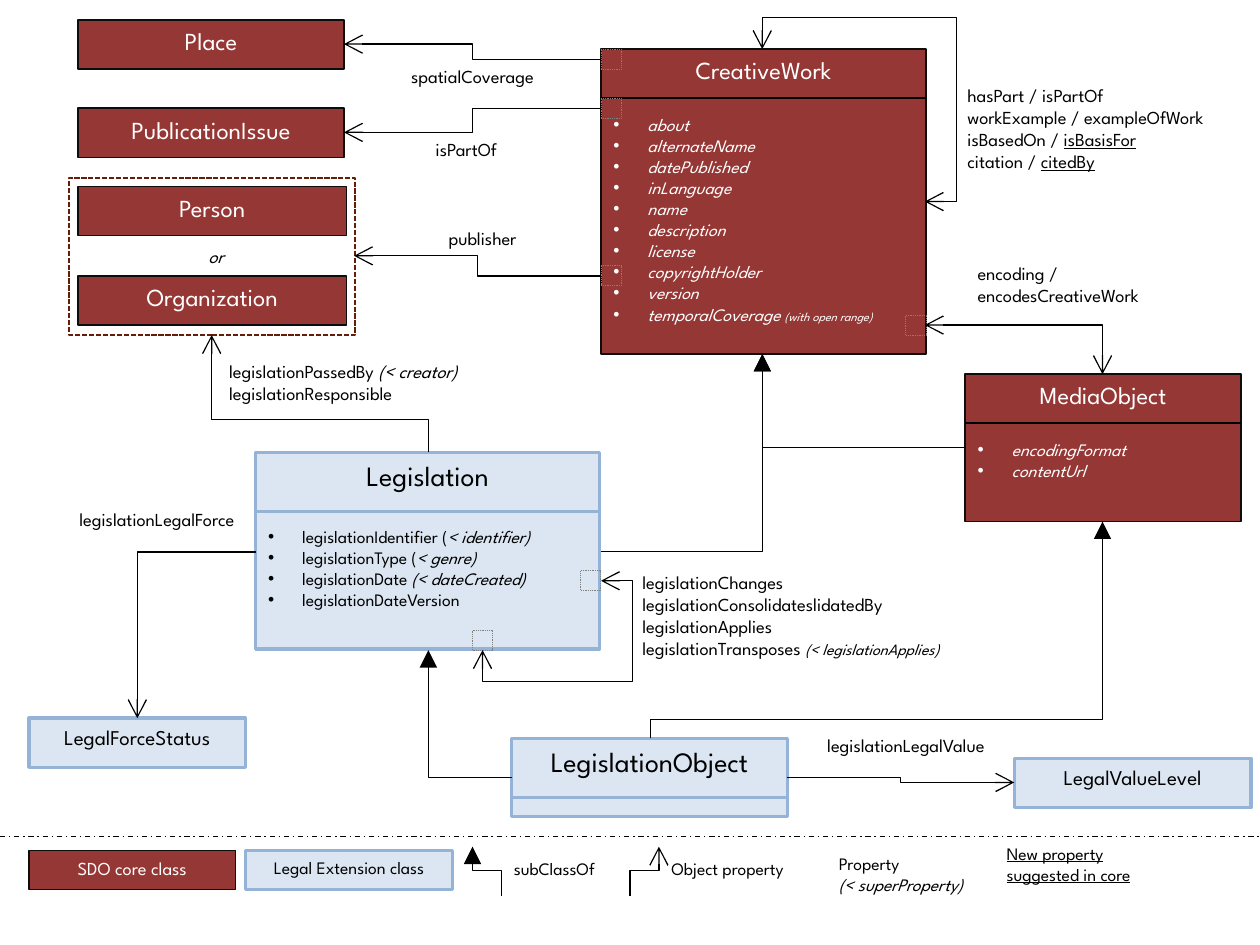
"""Build the class diagram of the legislation vocabulary extension."""
from dataclasses import dataclass
from typing import NamedTuple, Optional, Union

from lxml.etree import SubElement
from pptx import Presentation
from pptx.dml.color import RGBColor
from pptx.enum.dml import MSO_LINE
from pptx.enum.shapes import MSO_CONNECTOR as Connector, MSO_SHAPE as Shape
from pptx.enum.text import MSO_ANCHOR as Anchor, PP_ALIGN as Align
from pptx.oxml.ns import qn
from pptx.util import Inches, Pt

FONT = "League Spartan"
BLACK, WHITE, GREY = "000000", "FFFFFF", "808080"


class Part(NamedTuple):
    text: str
    italic: bool = False
    underline: bool = False
    size: Optional[float] = None


Row = Union[str, Part, tuple]


class Style(NamedTuple):
    fill: str
    outline: str
    weight: float
    ink: str


CORE = Style("953735", "0D0D0D", 1, WHITE)
EXTENSION = Style("DCE6F2", "95B3D7", 2, BLACK)


@dataclass
class ClassBox:
    name: str
    style: Style
    area: tuple
    size: float = 14
    divider: Optional[float] = None
    members: tuple = ()


@dataclass
class Route:
    points: list
    tail: Optional[str] = "arrow"
    head: Optional[str] = None
    color: str = BLACK
    weight: float = 0.75
    dash: Optional[MSO_LINE] = None


@dataclass
class Label:
    rows: tuple
    area: tuple
    size: float = 10.5
    align: Align = Align.LEFT


def italic(text: str, size: Optional[float] = None) -> Part:
    return Part(text, italic=True, size=size)


def underlined(text: str) -> Part:
    return Part(text, underline=True)


CREATIVE_WORK_MEMBERS = tuple(italic(name) for name in (
    "about", "alternateName", "datePublished", "inLanguage", "name", "description",
    "license", "copyrightHolder", "version")) + (
    (italic("temporalCoverage "), italic("(with open range)", 7)),)

CLASSES = [
    ClassBox("Place", CORE, (0.62, 0.16, 2.11, 0.39)),
    ClassBox("PublicationIssue", CORE, (0.62, 0.86, 2.11, 0.39)),
    ClassBox("Person", CORE, (0.62, 1.48, 2.13, 0.39)),
    ClassBox("Organization", CORE, (0.62, 2.19, 2.13, 0.39)),
    ClassBox("CreativeWork", CORE, (4.77, 0.39, 2.58, 2.42), 14, 0.78, CREATIVE_WORK_MEMBERS),
    ClassBox("MediaObject", CORE, (7.66, 2.97, 2.19, 1.17), 14, 3.36,
             (italic("encodingFormat"), italic("contentUrl"))),
    ClassBox("Legislation", EXTENSION, (2.03, 3.59, 2.73, 1.56), 16, 4.06, (
        (Part("legislationIdentifier ("), italic("< identifier)")),
        (Part("legislationType ("), italic("< genre)")),
        (Part("legislationDate "), italic("(< dateCreated)")),
        "legislationDateVersion")),
    ClassBox("LegislationObject", EXTENSION, (4.06, 5.86, 2.19, 0.62), 16, 6.33),
    ClassBox("LegalForceStatus", EXTENSION, (0.23, 5.7, 1.72, 0.39), 12),
    ClassBox("LegalValueLevel", EXTENSION, (8.05, 6.02, 1.88, 0.39), 12),
    ClassBox("SDO core class", CORE, (0.23, 6.75, 1.64, 0.31), 10.5),
    ClassBox("Legal Extension class", EXTENSION, (1.95, 6.75, 1.64, 0.31), 10),
]

PORTS = [(4.77, 0.39), (4.77, 0.78), (4.77, 2.11), (7.19, 2.5), (4.61, 4.53), (3.75, 5)]

ROUTES = [
    Route([(5.16, 5.86), (5.16, 5.71), (8.75, 5.71), (8.75, 4.14)], "triangle"),
    Route([(7.66, 3.55), (6.05, 3.55), (6.05, 2.81)], "triangle"),
    Route([(4.77, 4.38), (6.05, 4.38), (6.05, 2.81)], "triangle"),
    Route([(4.06, 6.17), (3.4, 6.17), (3.4, 5.16)], "triangle"),
    Route([(3.98, 7.11), (3.98, 6.91), (3.75, 6.91), (3.75, 6.72)], "triangle"),
    Route([(5, 7.11), (5, 6.91), (5.23, 6.91), (5.23, 6.72)]),
    Route([(4.77, 0.47), (3.75, 0.47), (3.75, 0.35), (2.73, 0.35)]),
    Route([(4.77, 0.86), (3.75, 0.86), (3.75, 1.05), (2.73, 1.05)]),
    Route([(4.77, 2.19), (3.79, 2.19), (3.79, 2.03), (2.81, 2.03)]),
    Route([(3.4, 3.59), (3.4, 3.33), (1.68, 3.33), (1.68, 2.66)]),
    Route([(2.03, 4.38), (1.09, 4.38), (1.09, 5.7)]),
    Route([(6.25, 6.17), (7.15, 6.17), (7.15, 6.21), (8.05, 6.21)]),
    Route([(8.75, 2.97), (8.75, 2.58), (7.34, 2.58)], head="arrow"),
    Route([(3.83, 5.16), (3.83, 5.41), (5.02, 5.41), (5.02, 4.61), (4.77, 4.61)], head="arrow"),
    Route([(7.34, 1.6), (7.59, 1.6), (7.59, 0.14), (6.05, 0.14), (6.05, 0.39)], head="arrow"),
    Route([(0, 6.64), (10, 6.64)], None, dash=MSO_LINE.DASH_DOT),
]

LABELS = [
    Label(("spatialCoverage",), (2.89, 0.47, 1.72, 0.28), align=Align.CENTER),
    Label(("isPartOf",), (3.36, 1.05, 0.86, 0.28)),
    Label(("publisher",), (2.97, 1.75, 1.72, 0.28), align=Align.CENTER),
    Label((italic("or"),), (0.62, 1.9, 2.19, 0.29), align=Align.CENTER),
    Label(((Part("legislationPassedBy "), italic("(< creator)")), "legislationResponsible"),
          (1.72, 2.81, 3.05, 0.45)),
    Label(("legislationLegalForce",), (0.16, 3.98, 1.8, 0.28), align=Align.RIGHT),
    Label(("legislationLegalValue",), (6.33, 5.78, 1.72, 0.28), align=Align.CENTER),
    Label(("legislationChanges", "legislationConsolidateslidatedBy", "legislationApplies",
           (Part("legislationTransposes "), italic("(< legislationApplies)", 9))),
          (5, 4.48, 4.14, 0.81)),
    Label(("encoding / encodesCreativeWork",), (7.66, 2.03, 1.88, 0.45)),
    Label(("hasPart / isPartOf", "workExample / exampleOfWork",
           (Part("isBasedOn / "), underlined("isBasisFor")),
           (Part("citation / "), underlined("citedBy"))), (7.58, 0.62, 2.4, 0.81)),
    Label(("subClassOf",), (3.98, 6.76, 1.17, 0.27), 10),
    Label(("Object property",), (5.23, 6.76, 1.33, 0.27), 10),
    Label(("Property", italic("(< superProperty)")), (6.56, 6.72, 1.37, 0.44), 10),
    Label((underlined("New property suggested in core"),), (7.89, 6.64, 1.41, 0.44), 10),
]


def rgb(value: str) -> RGBColor:
    return RGBColor.from_string(value)


def write_row(paragraph, row: Row, size: float, ink: str, align: Align) -> None:
    """Write one paragraph, keeping only differing formats on its runs."""
    parts = row if type(row) is tuple else (Part(row) if isinstance(row, str) else row,)
    paragraph.alignment = align
    font = paragraph.font
    font.name, font.size, font.color.rgb = FONT, Pt(size), rgb(ink)
    font.italic = all(part.italic for part in parts)
    font.underline = all(part.underline for part in parts)
    for part in parts:
        run = paragraph.add_run()
        run.text = part.text
        if part.italic != font.italic:
            run.font.italic = part.italic
        if part.underline != font.underline:
            run.font.underline = part.underline
        if part.size:
            run.font.size = Pt(part.size)


def add_bullet(paragraph) -> None:
    properties = paragraph._p.get_or_add_pPr()
    properties.set("marL", str(Inches(0.27)))
    properties.set("indent", str(-Inches(0.27)))
    SubElement(properties, qn("a:buFont")).set("typeface", "Arial")
    SubElement(properties, qn("a:buChar")).set("char", "•")


def draw_frame(slide, area: tuple, outline: str, weight: float,
               fill: Optional[str] = None, dash: Optional[MSO_LINE] = None):
    frame = slide.shapes.add_shape(Shape.RECTANGLE, *map(Inches, area))
    frame.shadow.inherit = False
    if fill:
        frame.fill.solid()
        frame.fill.fore_color.rgb = rgb(fill)
    else:
        frame.fill.background()
    frame.line.color.rgb, frame.line.width = rgb(outline), Pt(weight)
    if dash:
        frame.line.dash_style = dash
    return frame


def draw_class(slide, box: ClassBox) -> None:
    style = box.style
    body = draw_frame(slide, box.area, style.outline, style.weight, style.fill).text_frame
    body.vertical_anchor = Anchor.TOP
    write_row(body.paragraphs[0], box.name, box.size, style.ink, Align.CENTER)
    for index, member in enumerate(box.members):
        paragraph = body.add_paragraph()
        add_bullet(paragraph)
        write_row(paragraph, member, 10, style.ink, Align.LEFT)
        if index == 0:
            paragraph.space_before = Pt(1.2 * box.size)
    if box.divider:
        left, _, width, _ = box.area
        draw_route(slide, Route([(left, box.divider), (left + width, box.divider)], None,
                                color=BLACK if style is CORE else style.outline,
                                weight=style.weight))


def bend(connector, points: list) -> None:
    """Shape an elbow connector so that it passes through every point."""
    (x0, y0), (x1, y1) = points[0], points[-1]
    dx, dy = x1 - x0, y1 - y0
    upright = points[1][0] == x0
    if upright:
        turn, flip_h, flip_v = (90 if dx > 0 else 270), dx > 0, True
        connector.left, connector.top = (Inches((x0 + x1 - abs(dy)) / 2),
                                         Inches((y0 + y1 - abs(dx)) / 2))
        connector.width, connector.height = Inches(abs(dy)), Inches(abs(dx))
    else:
        turn = 180 if dx < 0 and len(points) < 5 else 0
        flip_h, flip_v = dx < 0 and not turn, (dy < 0) != bool(turn)
    properties = connector.element.spPr
    transform = properties.find(qn("a:xfrm"))
    for key, value in (("rot", turn * 60000), ("flipH", int(flip_h)), ("flipV", int(flip_v))):
        transform.set(key, str(value))
    geometry = properties.find(qn("a:prstGeom"))
    geometry.set("prst", f"bentConnector{len(points) - 1}")
    guides = geometry.find(qn("a:avLst"))
    for index, (x, y) in enumerate(points[1:-2], 1):
        across = upright == (index == 2)
        share = (x - x0) / dx if across else (y - y0) / dy
        guide = SubElement(guides, qn("a:gd"))
        guide.set("name", f"adj{index}" if len(points) > 3 else "adj")
        guide.set("fmla", f"val {round(share * 100000)}")


def draw_route(slide, route: Route) -> None:
    kind = Connector.ELBOW if len(route.points) > 2 else Connector.STRAIGHT
    ends = (Inches(value) for point in (route.points[0], route.points[-1]) for value in point)
    connector = slide.shapes.add_connector(kind, *ends)
    if kind == Connector.ELBOW:
        bend(connector, route.points)
    connector.line.color.rgb, connector.line.width = rgb(route.color), Pt(route.weight)
    if route.dash:
        connector.line.dash_style = route.dash
    properties = connector.element.spPr
    for tag, arrow in (("a:headEnd", route.head), ("a:tailEnd", route.tail)):
        if arrow:
            tip = SubElement(properties.find(qn("a:ln")), qn(tag))
            for key, value in (("type", arrow), ("w", "lg"), ("len", "lg")):
                tip.set(key, value)
    SubElement(properties, qn("a:effectLst"))


def draw_label(slide, label: Label) -> None:
    body = slide.shapes.add_textbox(*map(Inches, label.area)).text_frame
    body.word_wrap = True
    for index, row in enumerate(label.rows):
        paragraph = body.add_paragraph() if index else body.paragraphs[0]
        write_row(paragraph, row, label.size, BLACK, label.align)


def main() -> None:
    deck = Presentation()
    deck.slide_width, deck.slide_height = Inches(10), Inches(7.5)
    slide = deck.slides.add_slide(deck.slide_layouts[6])
    for box in CLASSES:
        draw_class(slide, box)
    draw_frame(slide, (0.55, 1.41, 2.27, 1.25), "651D07", 1, dash=MSO_LINE.SQUARE_DOT)
    for left, top in PORTS:
        draw_frame(slide, (left, top, 0.16, 0.16), GREY, 0.5, dash=MSO_LINE.ROUND_DOT)
    for route in ROUTES:
        draw_route(slide, route)
    for label in LABELS:
        draw_label(slide, label)
    deck.save("out.pptx")


main()
